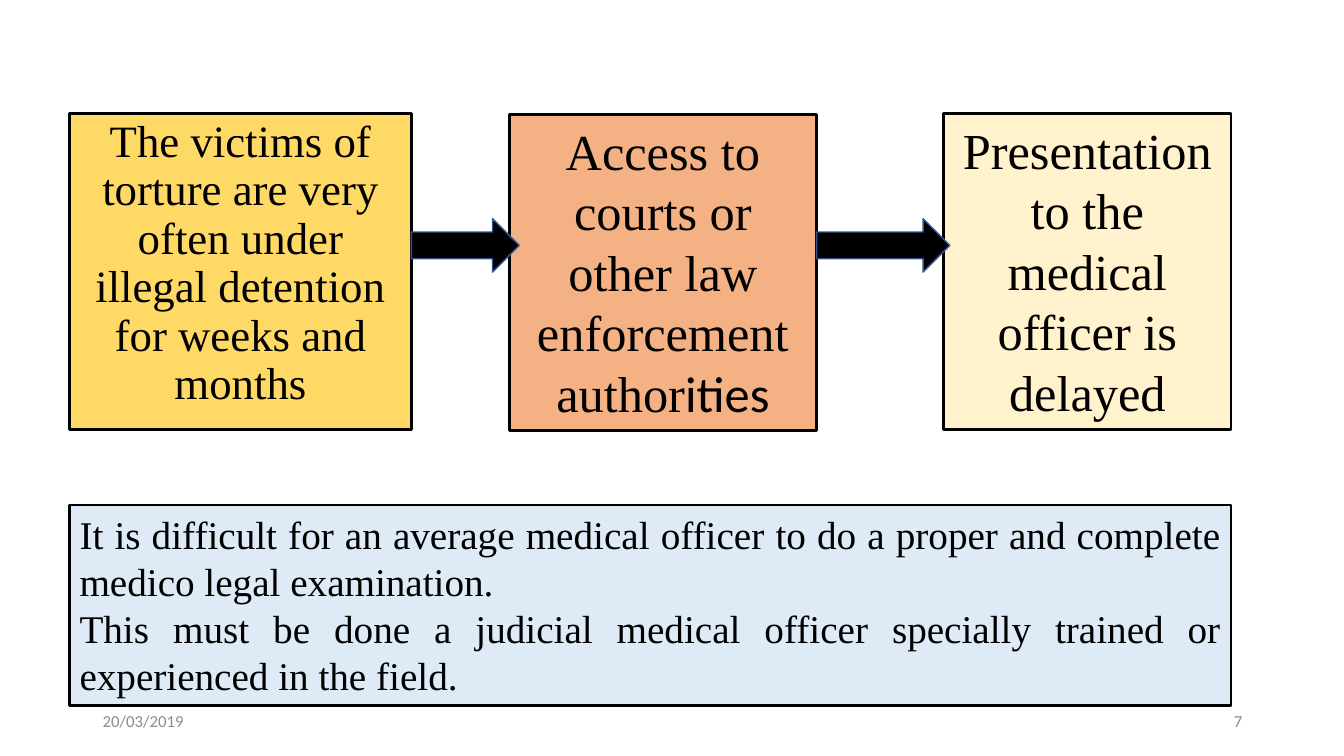
from pptx import Presentation
from pptx.dml.color import RGBColor
from pptx.enum.shapes import MSO_SHAPE
from pptx.enum.text import MSO_ANCHOR, PP_ALIGN
from pptx.util import Inches, Pt

RECT, ARROW = MSO_SHAPE.RECTANGLE, MSO_SHAPE.RIGHT_ARROW
TOP, MIDDLE = MSO_ANCHOR.TOP, MSO_ANCHOR.MIDDLE
LEFT, CENTER, RIGHT, JUSTIFY = PP_ALIGN.LEFT, PP_ALIGN.CENTER, PP_ALIGN.RIGHT, PP_ALIGN.JUSTIFY

THEME = {
    "serif": "Times New Roman", "sans": "Calibri",
    "ink": "000000", "muted": "8C8C8C", "arrow_line": "325491",
    "gold": "FFD966", "orange": "F4B183", "cream": "FFF2CC", "blue": "DEEBF7",
    "small_step": 32, "step": 36, "note": 28, "footer": 12,
}
SERIF, SANS = THEME["serif"], THEME["sans"]

STEPS = [
    {"x": 0.69, "y": 1.13, "w": 3.39, "fill": "gold", "size": "small_step", "spacing": 0.9,
     "runs": [("The victims of torture are very often under illegal detention for weeks and months", SERIF)]},
    {"x": 5.05, "y": 1.14, "w": 3.05, "fill": "orange", "size": "step", "spacing": None,
     "runs": [("Access to courts or other law enforcement author", SERIF), ("ities", SANS)]},
    {"x": 9.36, "y": 1.13, "w": 2.85, "fill": "cream", "size": "step", "spacing": None,
     "runs": [("Presentation to the medical officer is delayed", SERIF)]},
]
NOTE = [
    [("It is difficult for an average medical officer to do a proper and complete medico legal examination.", SERIF)],
    [("This must be done a judicial medical officer specially trained or experienced in the field.", SERIF)],
]
FOOTERS = [("20/03/2019", 0.92, LEFT), ("7", 9.42, RIGHT)]
STEP_H = 3.13
ARROW_Y, ARROW_H = 2.17, 0.53
OVERLAPS = [0.1, 0.06]
NOTE_Y, NOTE_H = 5.01, 1.99
FOOTER_Y, FOOTER_W, FOOTER_H = 6.95, 3, 0.4


def color(name):
    return RGBColor.from_string(THEME[name])


def add_text(shape, paragraphs, size, ink="ink", align=LEFT, anchor=TOP, spacing=None):
    tf = shape.text_frame
    tf.word_wrap = True
    tf.vertical_anchor = anchor
    for i, runs in enumerate(paragraphs):
        p = tf.add_paragraph() if i else tf.paragraphs[0]
        p.alignment = align
        p.line_spacing = spacing
        for text, font in runs:
            r = p.add_run()
            r.text = text
            r.font.name = font
            r.font.size = Pt(THEME[size])
            r.font.color.rgb = color(ink)


def add_block(s, kind, x, y, w, h, fill, line="ink", weight=2):
    shape = s.shapes.add_shape(kind, Inches(x), Inches(y), Inches(w), Inches(h))
    shape.shadow.inherit = False
    shape.fill.solid()
    shape.fill.fore_color.rgb = color(fill)
    shape.line.color.rgb = color(line)
    shape.line.width = Pt(weight)
    return shape


def main():
    prs = Presentation()
    prs.slide_width, prs.slide_height = Inches(13.33), Inches(7.5)
    s = prs.slides.add_slide(prs.slide_layouts[6])

    for step in STEPS:
        box = add_block(s, RECT, step["x"], step["y"], step["w"], STEP_H, step["fill"])
        add_text(box, [step["runs"]], step["size"], align=CENTER, spacing=step["spacing"])

    for a, b, overlap in zip(STEPS, STEPS[1:], OVERLAPS):
        start = a["x"] + a["w"]
        add_block(s, ARROW, start, ARROW_Y, b["x"] + overlap - start, ARROW_H, "ink", "arrow_line", 1)

    left, last = STEPS[0]["x"], STEPS[-1]
    note = add_block(s, RECT, left, NOTE_Y, last["x"] + last["w"] - left, NOTE_H, "blue")
    add_text(note, NOTE, "note", align=JUSTIFY)

    for text, x, align in FOOTERS:
        box = s.shapes.add_textbox(Inches(x), Inches(FOOTER_Y), Inches(FOOTER_W), Inches(FOOTER_H))
        add_text(box, [[(text, SANS)]], "footer", ink="muted", align=align, anchor=MIDDLE)

    prs.save("out.pptx")


if __name__ == "__main__":
    main()
